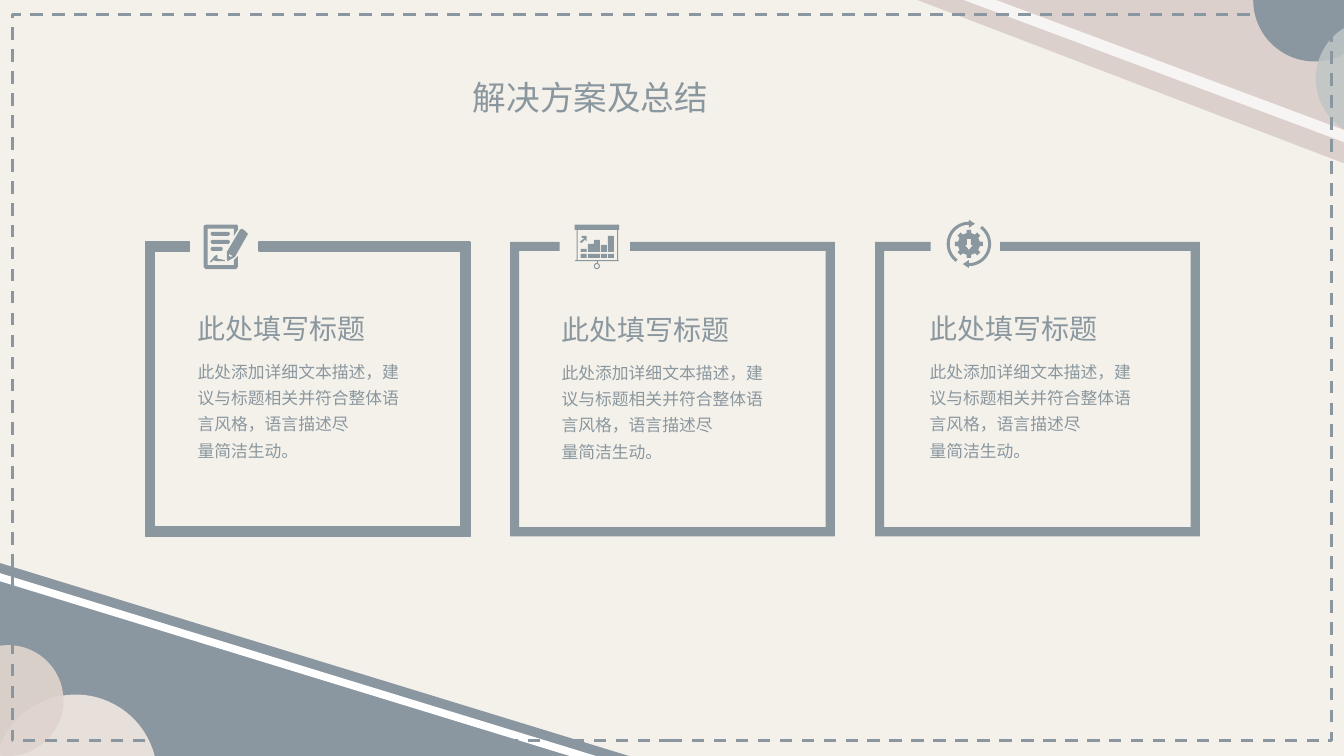
from math import cos, radians, sin

from lxml import etree
from pptx import Presentation
from pptx.dml.color import RGBColor
from pptx.enum.dml import MSO_LINE
from pptx.enum.shapes import MSO_SHAPE
from pptx.enum.text import MSO_ANCHOR, MSO_AUTO_SIZE, PP_ALIGN
from pptx.oxml.ns import qn
from pptx.util import Inches, Pt

DASH = MSO_LINE.DASH
RECTANGLE, RIGHT_TRIANGLE = MSO_SHAPE.RECTANGLE, MSO_SHAPE.RIGHT_TRIANGLE
TOP, NO_AUTOFIT, JUSTIFY = MSO_ANCHOR.TOP, MSO_AUTO_SIZE.NONE, PP_ALIGN.JUSTIFY

FONT = "Noto Sans CJK SC"
CREAM = RGBColor(0xF4, 0xF1, 0xEB)
ROSE = RGBColor(0xDB, 0xD0, 0xCB)
WHITE = RGBColor(0xFF, 0xFF, 0xFF)
SLATE = RGBColor(0x8A, 0x96, 0xA0)
STEEL = RGBColor(0x8A, 0x97, 0x9E)
MIST = RGBColor(0xBF, 0xC6, 0xC6)
SAND = RGBColor(0xE7, 0xDF, 0xD9)
BLUSH = RGBColor(0xDF, 0xD5, 0xCD)

prs = Presentation()
prs.slide_width, prs.slide_height = Inches(13.33), Inches(7.5)
s = prs.slides.add_slide(prs.slide_layouts[5])
s.background.fill.solid()
s.background.fill.fore_color.rgb = CREAM


def arc(cx, cy, radius, start, end, steps=32):
    """Points on a circle; degrees run clockwise from the right."""
    angles = [radians(start + (end - start) * i / steps) for i in range(steps + 1)]
    return [(cx + radius * cos(a), cy + radius * sin(a)) for a in angles]


def add_outline(contours, color, opacity=100):
    """One filled freeform; inner contours become holes."""
    builder = None
    for contour in contours:
        points = [(Inches(x), Inches(y)) for x, y in contour]
        if builder is None:
            builder = s.shapes.build_freeform(*points[0])
        else:
            builder.move_to(*points[0])
        builder.add_line_segments(points[1:], close=True)
    sp = builder.convert_to_shape()
    sp.shadow.inherit = False
    sp.fill.solid()
    sp.fill.fore_color.rgb = color
    sp.line.fill.background()
    if opacity < 100:
        clr = sp.fill._xPr.find(".//" + qn("a:srgbClr"))
        etree.SubElement(clr, qn("a:alpha")).set("val", str(opacity * 1000))
    return sp


# Top right corner
add_outline([[(9.1, 0), (13.33, 0), (13.33, 1.62)]], ROSE)
add_outline([[(9.56, 0), (9.88, 0), (13.33, 1.29), (13.33, 1.41)]], WHITE, 80)
add_outline([[(13.33, 0)] + arc(13.04, 0, 0.61, 61.6, 180)], SLATE)
add_outline([arc(13.64, 0.78, 0.59, 121.8, 238.2)], MIST, 85)

# Bottom left corner
sp = s.shapes.add_shape(RIGHT_TRIANGLE, Inches(-0.02), Inches(5.58), Inches(6.29), Inches(1.93))
sp.shadow.inherit = False
sp.fill.solid()
sp.fill.fore_color.rgb = SLATE
sp.line.fill.background()
add_outline([[(-0.02, 5.68), (6.01, 7.53), (5.75, 7.53), (-0.02, 5.76)]], WHITE)
add_outline([arc(0.75, 7.7, 0.81, 194.3, 345.7)], SAND)
add_outline([arc(0.08, 6.95, 0.55, -98.3, 98.3)], BLUSH, 91)

# Dashed border
sp = s.shapes.add_shape(RECTANGLE, Inches(0.12), Inches(0.14), Inches(13.09), Inches(7.21))
sp.shadow.inherit = False
sp.fill.background()
sp.line.color.rgb = SLATE
sp.line.width = Pt(2.25)
sp.line.dash_style = DASH

# Title
title = s.shapes.title
title.left, title.top, title.width, title.height = map(Inches, (4.59, 0.71, 4.15, 0.5))
tf = title.text_frame
tf.text = "解决方案及总结"
tf.auto_size, tf.word_wrap, tf.vertical_anchor = NO_AUTOFIT, True, TOP
tf.paragraphs[0].alignment = JUSTIFY
tf.paragraphs[0].runs[0].font.size = Pt(24)
text_shapes = [title]

# Cards: frame with a gap for the icon, heading, description
HEADING = "此处填写标题"
DESCRIPTION = "此处添加详细文本描述，建\n议与标题相关并符合整体语\n言风格，语言描述尽\n量简洁生动。"
CARD_TOP, CARD_W, CARD_H, CARD_STEP, BAND = 2.4, 3.22, 2.92, 3.62, 0.09
# gap start, gap end, text left, text top
cards = [(1.88, 2.57, 1.96, 3.04), (5.55, 6.25, 5.57, 3.05), (9.23, 9.92, 9.22, 3.04)]
for i, (gap_start, gap_end, text_left, text_top) in enumerate(cards):
    left = 1.44 + i * CARD_STEP
    right, bottom = left + CARD_W, CARD_TOP + CARD_H
    inner_top, inner_bottom = CARD_TOP + BAND, bottom - BAND
    frame = add_outline([[
        (left, CARD_TOP), (gap_start, CARD_TOP), (gap_start, inner_top),
        (left + BAND, inner_top), (left + BAND, inner_bottom),
        (right - BAND, inner_bottom), (right - BAND, inner_top),
        (gap_end, inner_top), (gap_end, CARD_TOP), (right, CARD_TOP),
        (right, bottom), (left, bottom)]], STEEL)
    if i == 0:
        frame.line.color.rgb = STEEL
        frame.line.width = Pt(1)
    for text, top, height, size, spacing in (
            (HEADING, text_top, 0.44, 20, 1.0),
            (DESCRIPTION, text_top + 0.44, 1.13, 12, 1.3)):
        box = s.shapes.add_textbox(Inches(text_left), Inches(top), Inches(2.16), Inches(height))
        tf = box.text_frame
        tf.word_wrap = True
        tf.margin_left = 0
        tf.text = text
        for p in tf.paragraphs:
            p.line_spacing = spacing
            p.runs[0].font.size = Pt(size)
        text_shapes.append(box)

# Shared font and colour
for shape in text_shapes:
    for p in shape.text_frame.paragraphs:
        for r in p.runs:
            r.font.color.rgb = STEEL
            r.font.name = FONT
            etree.SubElement(r.font._element, qn("a:ea")).set("typeface", FONT)

# Icon: page and pencil
page = [(2.02, 2.24), (2.04, 2.23), (2.35, 2.23), (2.36, 2.24), (2.36, 2.28), (2.32, 2.34),
        (2.32, 2.27), (2.06, 2.27), (2.06, 2.63), (2.32, 2.63), (2.32, 2.58), (2.36, 2.54),
        (2.36, 2.65), (2.34, 2.67), (2.04, 2.67), (2.02, 2.65)]
pencil = [(2.4, 2.27), (2.43, 2.29), (2.46, 2.32), (2.33, 2.55), (2.26, 2.59),
          (2.25, 2.58), (2.25, 2.5), (2.38, 2.28)]
pencil_tip = [(2.27, 2.52), (2.27, 2.54), (2.29, 2.55), (2.31, 2.54), (2.29, 2.53)]
signature = [(2.15, 2.53), (2.16, 2.54), (2.15, 2.56), (2.17, 2.57), (2.23, 2.58), (2.23, 2.59),
             (2.14, 2.59), (2.12, 2.58), (2.14, 2.56), (2.1, 2.6), (2.08, 2.6), (2.13, 2.54)]
text_lines = [arc(2.11, y, 0.02, 90, 270, 8) + arc(end, y, 0.02, -90, 90, 8)
              for y, end in ((2.32, 2.26), (2.4, 2.26), (2.47, 2.19))]
add_outline([page, pencil, pencil_tip, signature] + text_lines, STEEL)

# Icon: chart on a projection screen
BAR_W = 0.06
bar_lefts = (5.76, 5.83, 5.89, 5.96, 6.03)
bar_tops = (2.47, 2.42, 2.38, 2.43, 2.34)
blocks = [(5.73, 2.28, 6.12, 2.58)]
for x, y in zip(bar_lefts, bar_tops):
    blocks += [(x, y, x + BAR_W, 2.5), (x, 2.52, x + BAR_W, 2.56)]
screen = [(5.7, 2.23), (6.14, 2.23), (6.14, 2.28), (6.13, 2.28), (6.13, 2.58), (6.14, 2.59),
          (5.93, 2.59), (5.93, 2.61), (5.92, 2.61), (5.92, 2.59), (5.7, 2.59), (5.71, 2.58),
          (5.72, 2.58), (5.72, 2.28), (5.7, 2.28)]
trend_arrow = [(5.77, 2.34), (5.82, 2.34), (5.82, 2.39), (5.81, 2.39), (5.81, 2.37),
               (5.77, 2.41), (5.75, 2.4), (5.8, 2.36), (5.77, 2.36)]
add_outline([screen, trend_arrow, arc(5.92, 2.64, 0.03, 0, 360), arc(5.92, 2.64, 0.02, 0, 360)]
            + [[(l, t), (r, t), (r, b), (l, b)] for l, t, r, b in blocks], STEEL)

# Icon: gear between two turning arrows
CX, CY = 9.61, 2.42
gear = []
for tooth in range(0, 360, 45):
    for offset, radius in ((-12, 0.11), (-9, 0.14), (9, 0.14), (12, 0.11)):
        gear += arc(CX, CY, radius, tooth + offset, tooth + offset, 1)[:1]
down_arrow = [(9.59, 2.37), (9.63, 2.37), (9.63, 2.43), (9.65, 2.43), (9.61, 2.48),
              (9.57, 2.43), (9.59, 2.43)]
left_turn = ([(CX, 2.18), (9.67, 2.22), (CX, 2.26)]
             + arc(CX, CY, 0.19, 270, 126) + arc(CX, CY, 0.22, 126, 270))
right_turn = [(2 * CX - x, 2 * CY - y) for x, y in left_turn]
add_outline([gear, down_arrow, left_turn, right_turn], STEEL)

prs.save("out.pptx")
